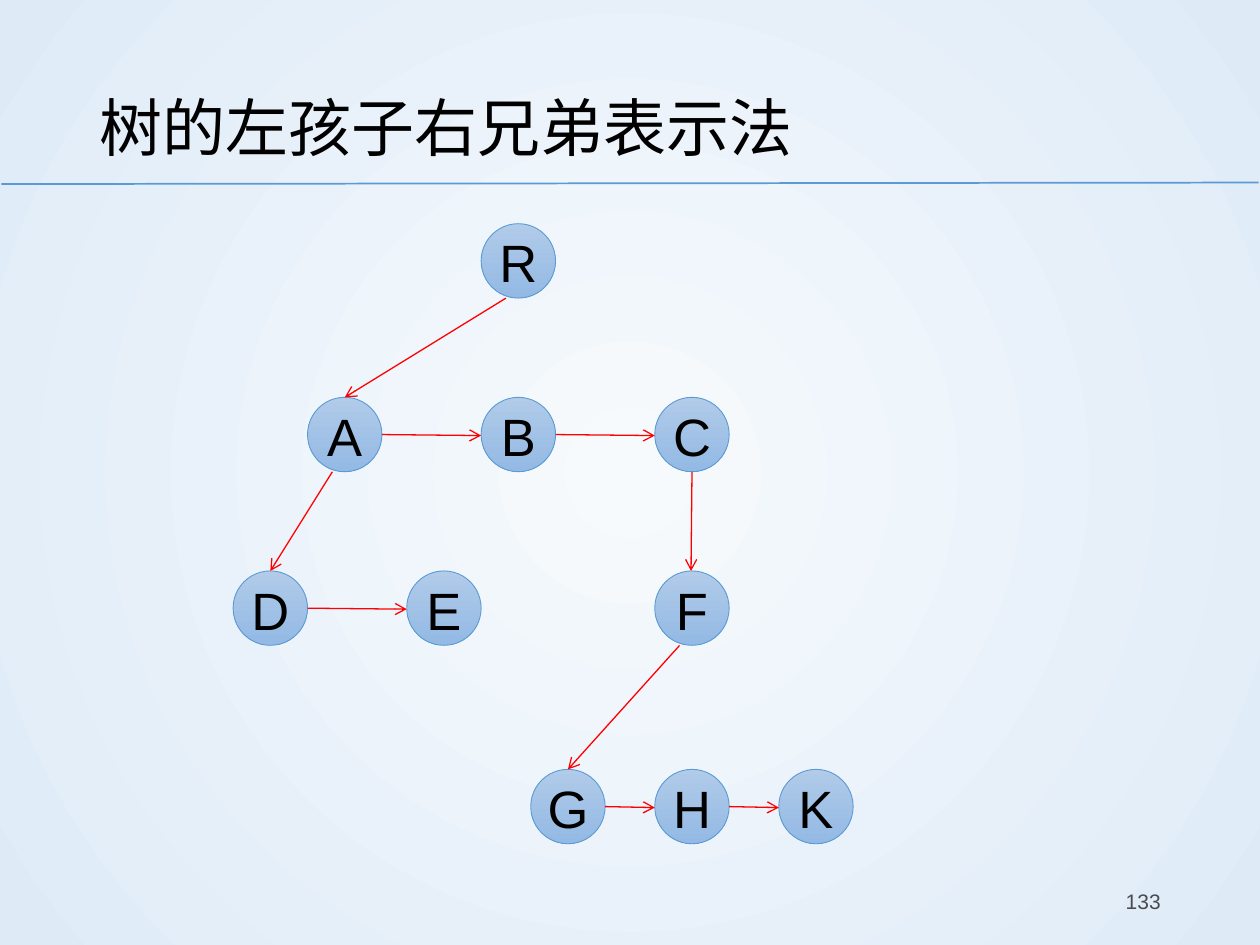
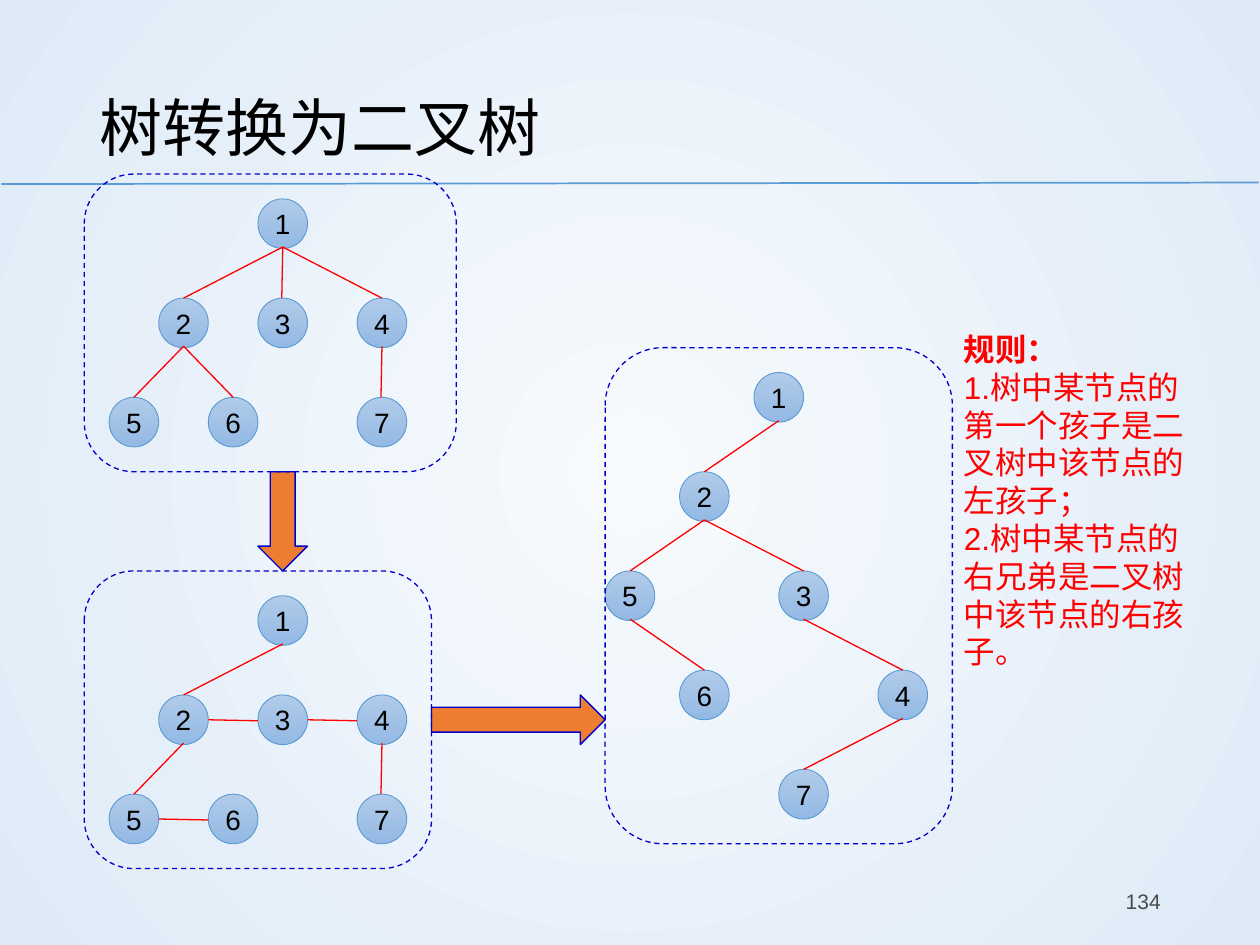
from lxml import etree
from pptx import Presentation
from pptx.dml.color import RGBColor
from pptx.enum.dml import MSO_LINE
from pptx.enum.shapes import MSO_CONNECTOR, MSO_SHAPE
from pptx.enum.text import MSO_ANCHOR, MSO_AUTO_SIZE, PP_ALIGN
from pptx.oxml.ns import qn
from pptx.util import Cm, Pt

STRAIGHT = MSO_CONNECTOR.STRAIGHT
OVAL, FRAME = MSO_SHAPE.OVAL, MSO_SHAPE.ROUNDED_RECTANGLE
DOWN, RIGHT = MSO_SHAPE.DOWN_ARROW, MSO_SHAPE.RIGHT_ARROW
ALIGN_LEFT, ALIGN_CENTER, ALIGN_RIGHT = PP_ALIGN.LEFT, PP_ALIGN.CENTER, PP_ALIGN.RIGHT
TOP, MIDDLE = MSO_ANCHOR.TOP, MSO_ANCHOR.MIDDLE
NO_FIT, DASH = MSO_AUTO_SIZE.NONE, MSO_LINE.DASH

COLORS = {
    "bg_center": "F7FAFD", "bg_edge": "DEEBF7", "rule": "5B9BD5",
    "node_top": "B1CBE9", "node_bottom": "93B9E4", "text": "000000",
    "number": "4B4B4B", "red": "FF0000", "orange": "ED7D31", "navy": "0000CC",
}
RGB = {name: RGBColor.from_string(value) for name, value in COLORS.items()}
UNIT, LEFT, UP, LEAN = 0.5, -0.05, 0.26, 0.02


def write(sp, text, size, color="text", align=ALIGN_LEFT, anchor=MIDDLE,
          wrap=True, spacing=None, bold_first=False, inset=None):
    tf = sp.text_frame
    tf.text = text
    tf.word_wrap = wrap
    tf.auto_size = NO_FIT
    tf.vertical_anchor = anchor
    if inset is not None:
        tf.margin_left = tf.margin_right = tf.margin_bottom = 0
        tf.margin_top = Cm(inset)
    for n, p in enumerate(tf.paragraphs):
        p.alignment = align
        if spacing:
            p.line_spacing = spacing
        for r in p.runs:
            r.font.name = "Arial"
            r.font.size = Pt(size)
            r.font.bold = bold_first and n == 0
            r.font.color.rgb = RGB[color]


def add_line(s, x1, y1, x2, y2, color, width, arrow=False):
    line = s.shapes.add_connector(STRAIGHT, Cm(x1), Cm(y1), Cm(x2), Cm(y2))
    line.line.color.rgb = RGB[color]
    line.line.width = Pt(width)
    if arrow:
        ln = line.element.spPr.find(qn("a:ln"))
        etree.SubElement(ln, qn("a:tailEnd"), type="arrow")
    etree.SubElement(line.element.spPr, qn("a:effectLst"))
    return line


prs = Presentation()
prs.slide_width, prs.slide_height = Cm(25.4), Cm(19.05)
master, layout = prs.slide_master, prs.slide_layouts[5]

fill = master.background.fill
fill.gradient()
for stop, name in zip(fill.gradient_stops, ("bg_center", "bg_edge")):
    stop.color.rgb = RGB[name]
lin = master.element.find(".//" + qn("p:bg")).find(".//" + qn("a:lin"))
circle = etree.Element(qn("a:path"), {"path": "circle"})
etree.SubElement(circle, qn("a:fillToRect"), {side: "50000" for side in "ltrb"})
lin.getparent().replace(lin, circle)

title = layout.placeholders[0]
title.left, title.top, title.width, title.height = Cm(1.75), Cm(1.02), Cm(21.9), Cm(2.74)

slides = []
for number, heading in ((133, "树的左孩子右兄弟表示法"), (134, "树转换为二叉树")):
    s = prs.slides.add_slide(layout)
    write(s.shapes.title, heading, 36, spacing=1.2)
    sp = s.shapes.add_textbox(Cm(17.93), Cm(17.65), Cm(5.72), Cm(1.02))
    write(sp, str(number), 12, "number", ALIGN_RIGHT)
    slides.append(s)
linked, conversion = slides

rule = add_line(linked, 0.03, 3.71, 25.37, 3.68, "rule", 1)
layout.shapes.element.append(rule.element)

first_children = {
    "slide": linked, "radius": 0.75, "size": 30, "inset": 0.04, "arrow": True,
    "nodes": {"R": (21, 10), "A": (14, 17), "B": (21, 17), "C": (28, 17),
              "D": (11, 24), "E": (18, 24), "F": (28, 24),
              "G": (23, 32), "H": (28, 32), "K": (33, 32)},
    "links": "RA AB BC AD DE CF FG GH HK",
}
small = {"slide": conversion, "radius": 0.5, "size": 16, "inset": 0, "arrow": False}
tree_nodes = {"1": (11.5, 8.5), "2": (7.5, 12.5), "3": (11.5, 12.5), "4": (15.5, 12.5),
              "5": (5.5, 16.5), "6": (9.5, 16.5), "7": (15.5, 16.5)}
general = {**small, "nodes": tree_nodes, "links": "12 13 14 25 26 47"}
siblings = {**small, "nodes": {k: (x, y + 16) for k, (x, y) in tree_nodes.items()},
            "links": "12 23 34 25 56 47"}
binary = {
    **small,
    "nodes": {"1": (31.5, 15.5), "2": (28.5, 19.5), "3": (32.5, 23.5), "4": (36.5, 27.5),
              "5": (25.5, 23.5), "6": (28.5, 27.5), "7": (32.5, 31.5)},
    "links": "12 25 23 56 34 47",
}

for tree in (first_children, general, siblings, binary):
    s, radius, arrow = tree["slide"], tree["radius"], tree["arrow"]
    centers = {k: (LEFT + UNIT * x, UP + UNIT * y) for k, (x, y) in tree["nodes"].items()}
    for label, (x, y) in centers.items():
        sp = s.shapes.add_shape(OVAL, Cm(x - radius), Cm(y - radius),
                                Cm(2 * radius), Cm(2 * radius))
        sp.shadow.inherit = False
        sp.fill.gradient()
        sp.fill.gradient_angle = 270
        for stop, name in zip(sp.fill.gradient_stops, ("node_top", "node_bottom")):
            stop.color.rgb = RGB[name]
        sp.line.color.rgb = RGB["rule"]
        sp.line.width = Pt(0.5)
        write(sp, label, tree["size"], align=ALIGN_CENTER, wrap=False, inset=tree["inset"])
    for start, end in tree["links"].split():
        (x1, y1), (x2, y2) = centers[start], centers[end]
        if y1 == y2:
            x1, x2, y2 = x1 + radius, x2 - radius, y2 + LEAN
        else:
            y1, y2 = y1 + radius - (0 if arrow else 0.03), y2 - radius
            if x1 == x2:
                x2 -= LEAN
            elif arrow:
                x1 -= 0.25
        add_line(s, x1, y1, x2, y2, "red", 0.75, arrow)

sp = conversion.shapes.add_textbox(Cm(19.18), Cm(6.53), Cm(4.98), Cm(7.19))
write(sp, "规则：\n1.树中某节点的第一个孩子是二叉树中该节点的左孩子；\n"
          "2.树中某节点的右兄弟是二叉树中该节点的右孩子。",
      18, "red", anchor=TOP, bold_first=True)

for kind, x, y, w, h in (
    (DOWN, 10.5, 18.5, 2, 4), (RIGHT, 17.5, 27.5, 7, 2),
    (FRAME, 3.5, 6.5, 15, 12), (FRAME, 3.5, 22.5, 14, 12), (FRAME, 24.5, 13.5, 14, 20),
):
    sp = conversion.shapes.add_shape(kind, Cm(LEFT + UNIT * x), Cm(UP + UNIT * y),
                                     Cm(UNIT * w), Cm(UNIT * h))
    sp.shadow.inherit = False
    sp.line.color.rgb = RGB["navy"]
    sp.line.width = Pt(0.75)
    if kind == FRAME:
        sp.fill.background()
        sp.line.dash_style = DASH
    else:
        sp.fill.solid()
        sp.fill.fore_color.rgb = RGB["orange"]

prs.save("out.pptx")
